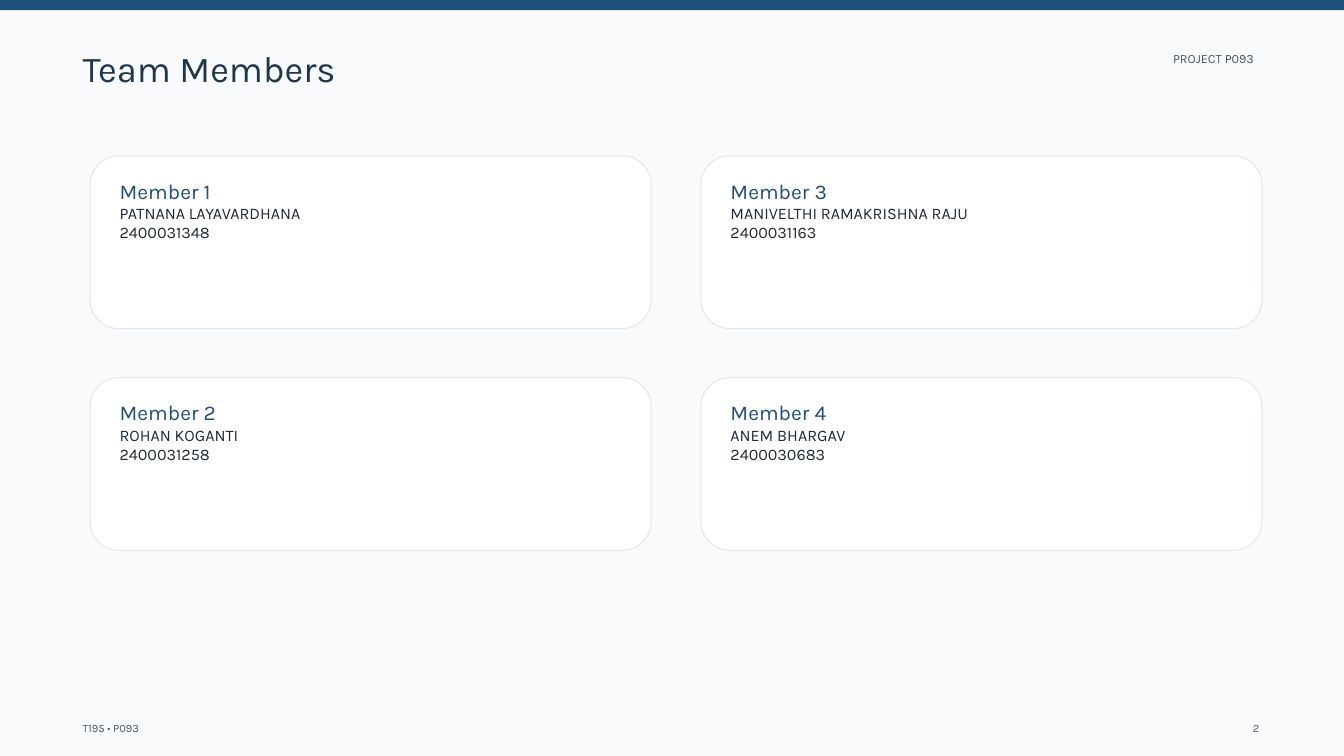
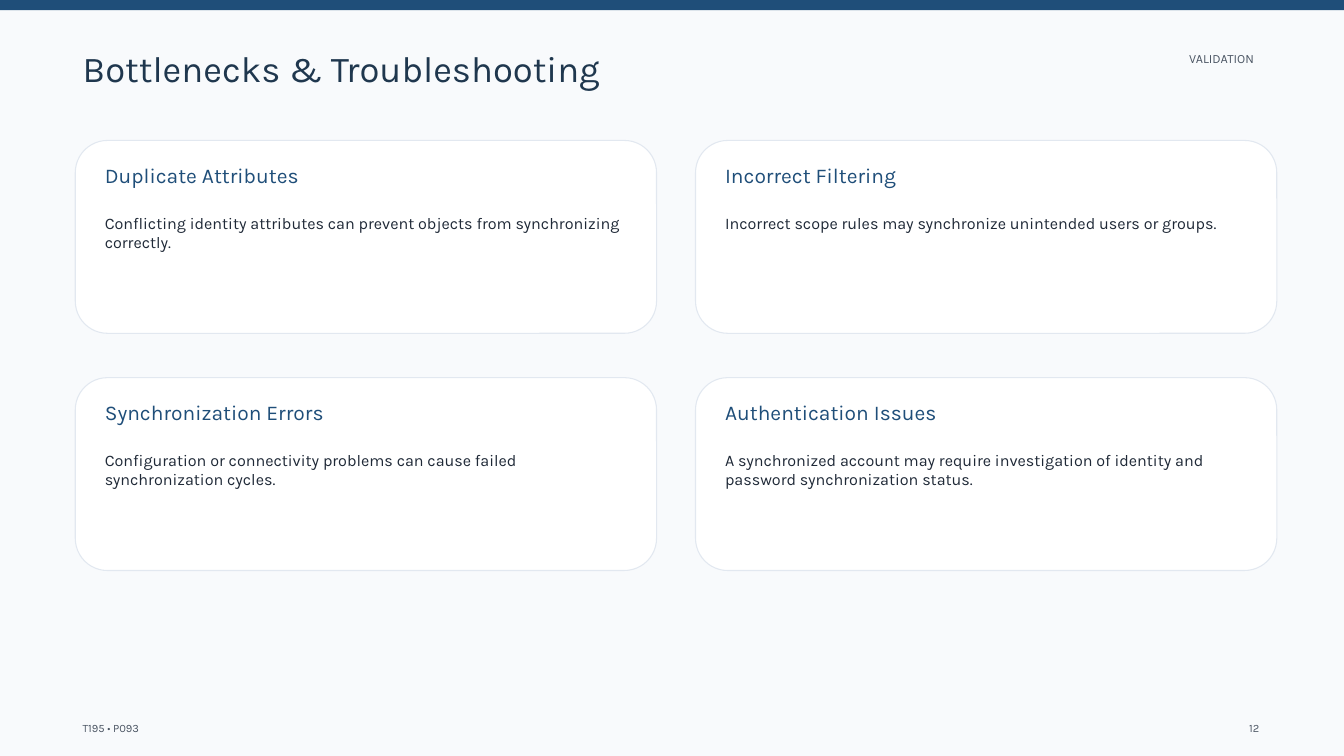
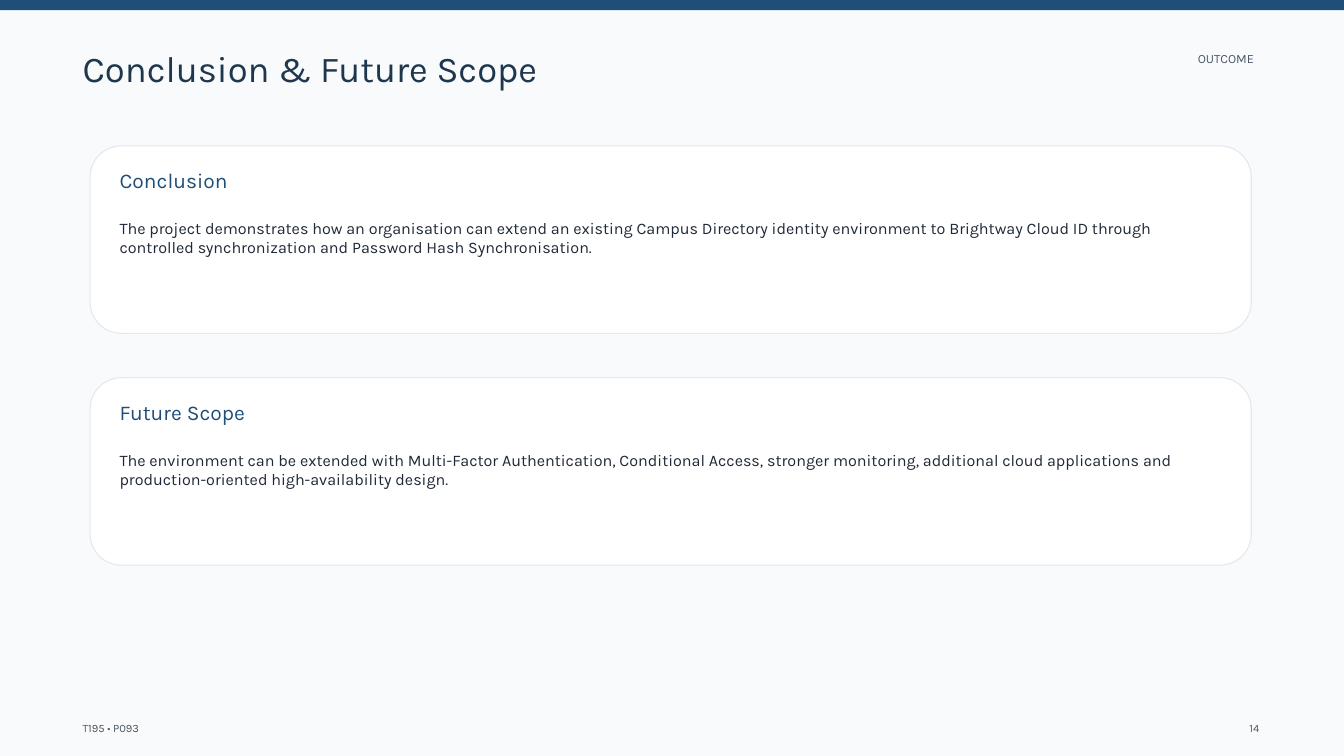
from pptx import Presentation
from pptx.dml.color import RGBColor as Rgb
from pptx.enum.shapes import MSO_SHAPE as Kind
from pptx.enum.text import MSO_ANCHOR as Anchor, MSO_AUTO_SIZE as Fit, PP_ALIGN as Align
from pptx.util import Pt

PX = 9144
HUES = {
    "page": "F8FAFC", "band": "1F4E79", "title": "1F374E", "note": "4B5563",
    "card": "FFFFFF", "edge": "E2E8F0", "head": "1F4E79", "body": "1F2937",
}
STYLES = {
    "title": (39, 46.8), "tag": (13.5, 16.2), "foot": (12, 14.4),
    "head": (22.5, 27), "body": (17.3, 20.7),
}
FRAME = {
    "margin_left": 0, "margin_top": 0, "margin_right": 0, "margin_bottom": 0,
    "word_wrap": True, "auto_size": Fit.NONE, "vertical_anchor": Anchor.TOP,
}


def color(name):
    return Rgb.from_string(HUES[name])


def write(shape, box, lines, align=Align.LEFT, gap=0):
    shape.left, shape.top, shape.width, shape.height = [n * PX for n in box]
    frame = shape.text_frame
    for key, value in FRAME.items():
        setattr(frame, key, value)
    for i, (text, style, hue) in enumerate(lines):
        para = frame.add_paragraph() if i else frame.paragraphs[0]
        para.text = text
        size, pitch = STYLES[style]
        para.alignment = align
        para.line_spacing = Pt(pitch)
        para.space_before = Pt(gap if i == 1 else 0)
        font = para.runs[0].font
        font.name, font.size, font.color.rgb = "Karla", Pt(size), color(hue)


PAGES = [
    {
        "title": "Team Members", "tag": "PROJECT P093", "num": "2",
        "cols": [134, 1043], "rows": [232, 562], "size": (835, 257), "gap": 0,
        "cards": [
            ["Member 1", "PATNANA LAYAVARDHANA", "2400031348"],
            ["Member 3", "MANIVELTHI RAMAKRISHNA RAJU", "2400031163"],
            ["Member 2", "ROHAN KOGANTI", "2400031258"],
            ["Member 4", "ANEM BHARGAV", "2400030683"],
        ],
    },
    {
        "title": "Bottlenecks & Troubleshooting", "tag": "VALIDATION", "num": "12",
        "cols": [112, 1035], "rows": [209, 562], "size": (865, 287), "gap": 27,
        "cards": [
            ["Duplicate Attributes",
             "Conflicting identity attributes can prevent objects from synchronizing correctly."],
            ["Incorrect Filtering",
             "Incorrect scope rules may synchronize unintended users or groups."],
            ["Synchronization Errors",
             "Configuration or connectivity problems can cause failed synchronization cycles."],
            ["Authentication Issues",
             "A synchronized account may require investigation of identity and password "
             "synchronization status."],
        ],
    },
    {
        "title": "Conclusion & Future Scope", "tag": "OUTCOME", "num": "14",
        "cols": [134], "rows": [217, 562], "size": (1728, 279), "gap": 27,
        "cards": [
            ["Conclusion",
             "The project demonstrates how an organisation can extend an existing Campus "
             "Directory identity environment to Brightway Cloud ID through controlled "
             "synchronization and Password Hash Synchronisation."],
            ["Future Scope",
             "The environment can be extended with Multi-Factor Authentication, Conditional "
             "Access, stronger monitoring, additional cloud applications and "
             "production-oriented high-availability design."],
        ],
    },
]

deck = Presentation()
deck.slide_width, deck.slide_height = 2000 * PX, 1125 * PX
back = deck.slide_master.background.fill
back.solid()
back.fore_color.rgb = color("page")

for page in PAGES:
    slide = deck.slides.add_slide(deck.slide_layouts[5])
    shapes = slide.shapes
    band = shapes.add_shape(Kind.RECTANGLE, 0, 0, 2000 * PX, 15 * PX)
    band.shadow.inherit = False
    band.fill.solid()
    band.fill.fore_color.rgb = color("band")
    band.line.fill.background()

    write(shapes.title, (123, 68, 1736, 88), [(page["title"], "title", "title")])
    for text, style, box, align in [
        (page["tag"], "tag", (1616, 76, 250, 44), Align.RIGHT),
        ("T195 • P093", "foot", (123, 1074, 1600, 23), Align.LEFT),
        (page["num"], "foot", (1781, 1074, 93, 23), Align.RIGHT),
    ]:
        write(shapes.add_textbox(0, 0, 0, 0), box, [(text, style, "note")], align)

    wide, high = page["size"]
    spots = [(x, y) for y in page["rows"] for x in page["cols"]]
    for (x, y), (head, *body) in zip(spots, page["cards"]):
        card = shapes.add_shape(Kind.ROUNDED_RECTANGLE, x * PX, y * PX, wide * PX, high * PX)
        card.shadow.inherit = False
        card.fill.solid()
        card.fill.fore_color.rgb = color("card")
        card.line.color.rgb = color("edge")
        card.line.width = Pt(1.13)
        lines = [(head, "head", "head")] + [(text, "body", "body") for text in body]
        box = (x + 44, y + 33, wide - 88, high - 66)
        write(shapes.add_textbox(0, 0, 0, 0), box, lines, gap=page["gap"])

deck.save("out.pptx")
